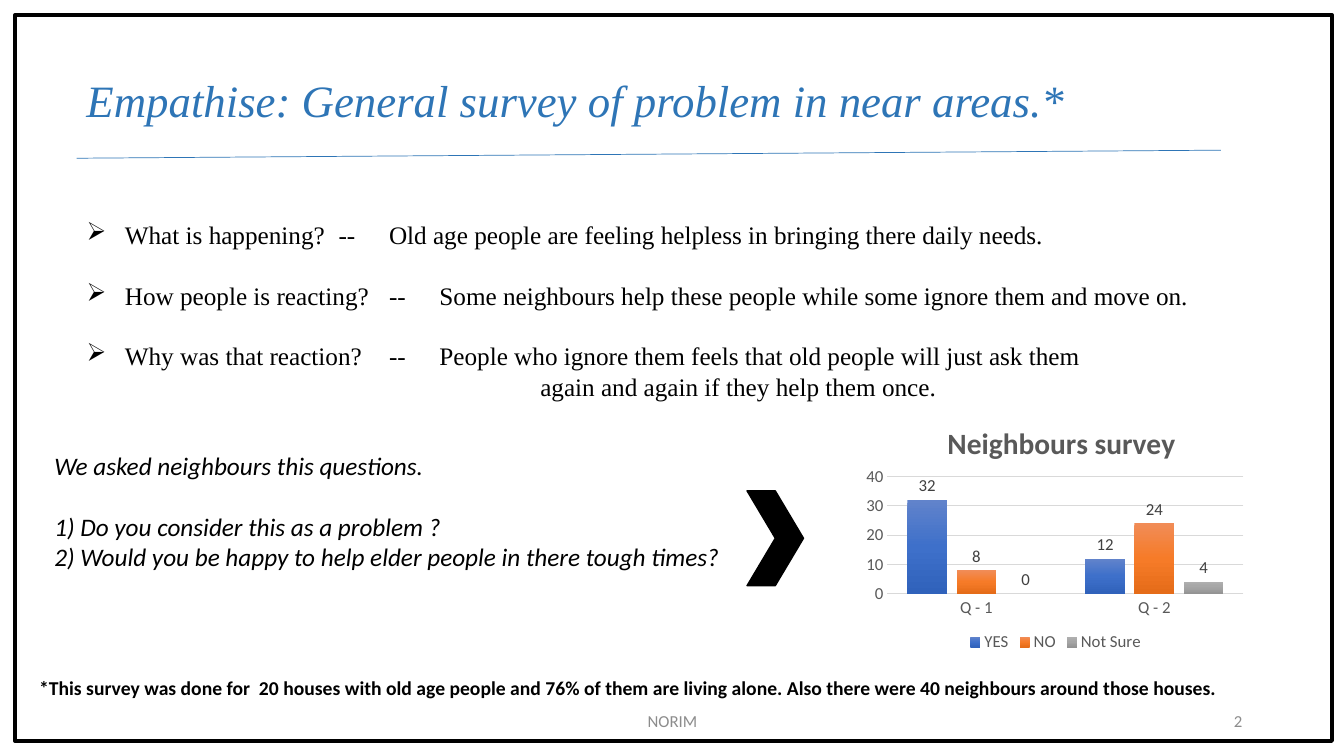
from lxml import etree
from pptx import Presentation
from pptx.chart.data import CategoryChartData
from pptx.dml.color import RGBColor
from pptx.enum.chart import XL_CHART_TYPE, XL_LABEL_POSITION, XL_LEGEND_POSITION, XL_TICK_MARK
from pptx.enum.shapes import MSO_CONNECTOR, MSO_SHAPE
from pptx.enum.text import MSO_ANCHOR, PP_ALIGN
from pptx.oxml import parse_xml
from pptx.oxml.ns import nsdecls, qn
from pptx.util import Pt

LEFT, CENTER, RIGHT = PP_ALIGN.LEFT, PP_ALIGN.CENTER, PP_ALIGN.RIGHT
TOP, MIDDLE = MSO_ANCHOR.TOP, MSO_ANCHOR.MIDDLE
NO_TICK = XL_TICK_MARK.NONE

# Content
TITLE = "Empathise: General survey of problem in near areas.*"
FINDINGS = [
    ("What is happening?", "Old age people are feeling helpless in bringing there daily needs."),
    ("How people is reacting?",
     "Some neighbours help these people while some ignore them and move on."),
    ("Why was that reaction?", "People who ignore them feels that old people will just ask them"),
]
FINDINGS_END = "again and again if they help them once."
SURVEY_INTRO = "We asked neighbours this questions."
QUESTIONS = [
    "1) Do you consider this as a problem ?",
    "2) Would you be happy to help elder people in there tough times?",
]
FOOTNOTE = ("*This survey was done for  20 houses with old age people and 76% of them are "
            "living alone. Also there were 40 neighbours around those houses.")
FOOTER, PAGE = "NORIM", "2"
CHART_TITLE = "Neighbours survey"
CATEGORIES = ["Q - 1", "Q - 2"]
ANSWERS = [  # name, values, gradient from top to bottom
    ("YES", (32, 12), ("6183CB", "3E70CA", "3062BB")),
    ("NO", (8, 24), ("F18C57", "F67B28", "E56C19")),
    ("Not Sure", (0, 4), ("AFAFAF", "A5A5A5", "939393")),
]

# Style
SERIF, SANS = "Times New Roman", "Calibri"
BLACK, BLUE, FOOTER_GREY = "000000", "2E75B6", "8C8C8C"
AXIS_GREY, LABEL_GREY, GRID_GREY = "595959", "404040", "D9D9D9"
EMU_PER_PX = 9144  # 100 px to the inch


def px(length):
    return round(length * EMU_PER_PX)


def rgb(color):
    return RGBColor.from_string(color)


def set_font(font, size, color, face=SANS, bold=False, italic=False):
    font.size, font.name, font.bold, font.italic = Pt(size), face, bold, italic
    font.color.rgb = rgb(color)


def add_text(lines, box, size, color=BLACK, align=LEFT, anchor=TOP, **font_format):
    frame = slide.shapes.add_textbox(*map(px, box)).text_frame
    frame.word_wrap, frame.vertical_anchor = True, anchor
    for i, line in enumerate(lines):
        paragraph = frame.paragraphs[0] if i == 0 else frame.add_paragraph()
        paragraph.alignment = align
        run = paragraph.add_run()
        run.text = line
        set_font(run.font, size, color, **font_format)
    return frame.paragraphs


def indent(paragraph, margin, first_line=0):
    properties = paragraph._p.get_or_add_pPr()
    properties.set("marL", str(px(margin)))
    properties.set("indent", str(px(first_line)))
    return properties


def add_preset(kind, box, line_width, fill=None):
    shape = slide.shapes.add_shape(kind, *map(px, box))
    shape.shadow.inherit = False
    shape.line.color.rgb, shape.line.width = rgb(BLACK), Pt(line_width)
    if fill:
        shape.fill.solid()
        shape.fill.fore_color.rgb = rgb(fill)
    else:
        shape.fill.background()


def set_layout(parent, after, x, y, w=None, h=None, inner=False):
    """Place a chart part by fractions of the chart's size."""
    for old in parent.findall(qn("c:layout")):
        parent.remove(old)
    layout = parse_xml(f"<c:layout {nsdecls('c')}><c:manualLayout/></c:layout>")
    values = [("layoutTarget", "inner" if inner else None), ("xMode", "edge"),
              ("yMode", "edge"), ("x", x), ("y", y), ("w", w), ("h", h)]
    for tag, value in values:
        if value is not None:
            etree.SubElement(layout[0], qn(f"c:{tag}")).set("val", str(value))
    if after is None:
        parent.insert(0, layout)
    else:
        after.addnext(layout)


def fill_gradient(series, colors):
    stops = "".join(f'<a:gs pos="{i * 50000}"><a:srgbClr val="{color}"/></a:gs>'
                    for i, color in enumerate(colors))
    series.format.fill.background()
    properties = series._element.get_or_add_spPr()
    properties.replace(properties.find(qn("a:noFill")), parse_xml(
        f"<a:gradFill {nsdecls('a')}><a:gsLst>{stops}</a:gsLst>"
        '<a:lin ang="5400000" scaled="0"/></a:gradFill>'))


deck = Presentation()
deck.slide_width, deck.slide_height = px(1333), px(750)
slide = deck.slides.add_slide(deck.slide_layouts[6])

# Footer and frame
add_text([FOOTER], (442, 695, 450, 40), 12, FOOTER_GREY, CENTER, MIDDLE)
add_text([PAGE], (942, 695, 300, 40), 12, FOOTER_GREY, RIGHT, MIDDLE)
add_preset(MSO_SHAPE.RECTANGLE, (15, 15, 1306, 720), 3)

# Title and rule
add_text([TITLE], (76, 67, 1047, 64), 32, BLUE, face=SERIF, italic=True)
rule = slide.shapes.add_connector(MSO_CONNECTOR.STRAIGHT, *map(px, (76, 157, 1211, 149)))
rule.line.color.rgb, rule.line.width = rgb(BLUE), Pt(0.5)
etree.SubElement(rule._element.spPr, qn("a:effectLst"))

# Findings
finding_lines = [f"{question}\t--\t{finding}" for question, finding in FINDINGS]
*bulleted, continuation = add_text(finding_lines + [FINDINGS_END],
                                   (76, 183, 1232, 222), 18, face=SERIF)
for paragraph in bulleted:
    paragraph.line_spacing = 2.0
    properties = indent(paragraph, 38, -38)
    etree.SubElement(properties, qn("a:buChar")).set("char", "➢")
indent(continuation, 450)

# Survey questions and footnote
intro = add_text([SURVEY_INTRO] + QUESTIONS, (44, 442, 690, 131), 18, italic=True)[0]
intro.space_after = Pt(22)
add_text([FOOTNOTE], (29, 666, 1240, 34), 14, bold=True)

# Survey chart
survey = CategoryChartData()
survey.categories = CATEGORIES
for name, values, _ in ANSWERS:
    survey.add_series(name, values)
chart = slide.shapes.add_chart(XL_CHART_TYPE.COLUMN_CLUSTERED,
                               *map(px, (853, 393, 388, 258)), survey).chart
set_font(chart.font, 12, AXIS_GREY)
chart.has_title = True
heading = chart.chart_title.text_frame
heading.text = CHART_TITLE
set_font(heading.paragraphs[0].runs[0].font, 21, AXIS_GREY, bold=True)
title_element = chart.chart_title._element
set_layout(title_element, title_element.find(qn("c:tx")), 0.21, 0.08)
set_layout(chart._chartSpace.chart.plotArea, None, 0.07, 0.31, 0.91, 0.45, inner=True)

chart.has_legend = True
chart.legend.position, chart.legend.include_in_layout = XL_LEGEND_POSITION.BOTTOM, False
set_font(chart.legend.font, 12, AXIS_GREY)

questions_axis, count_axis = chart.category_axis, chart.value_axis
for axis in (questions_axis, count_axis):
    axis.major_tick_mark = axis.minor_tick_mark = NO_TICK
    set_font(axis.tick_labels.font, 12, AXIS_GREY)
questions_axis.format.line.color.rgb = rgb(GRID_GREY)
questions_axis.format.line.width = Pt(1)
count_axis.format.line.fill.background()
count_axis.minimum_scale, count_axis.maximum_scale, count_axis.major_unit = 0, 40, 10
gridline = count_axis.major_gridlines.format.line
gridline.color.rgb, gridline.width = rgb(GRID_GREY), Pt(0.75)

columns = chart.plots[0]
columns.gap_width, columns.overlap, columns.vary_by_categories = 100, -24, False
for series, (_, _, gradient) in zip(columns.series, ANSWERS):
    fill_gradient(series, gradient)
    labels = series.data_labels
    labels.show_value, labels.position = True, XL_LABEL_POSITION.OUTSIDE_END
    set_font(labels.font, 12, LABEL_GREY)

# Arrow from questions to chart
add_preset(MSO_SHAPE.CHEVRON, (741, 487, 56, 94), 1, BLACK)

deck.save("out.pptx")
